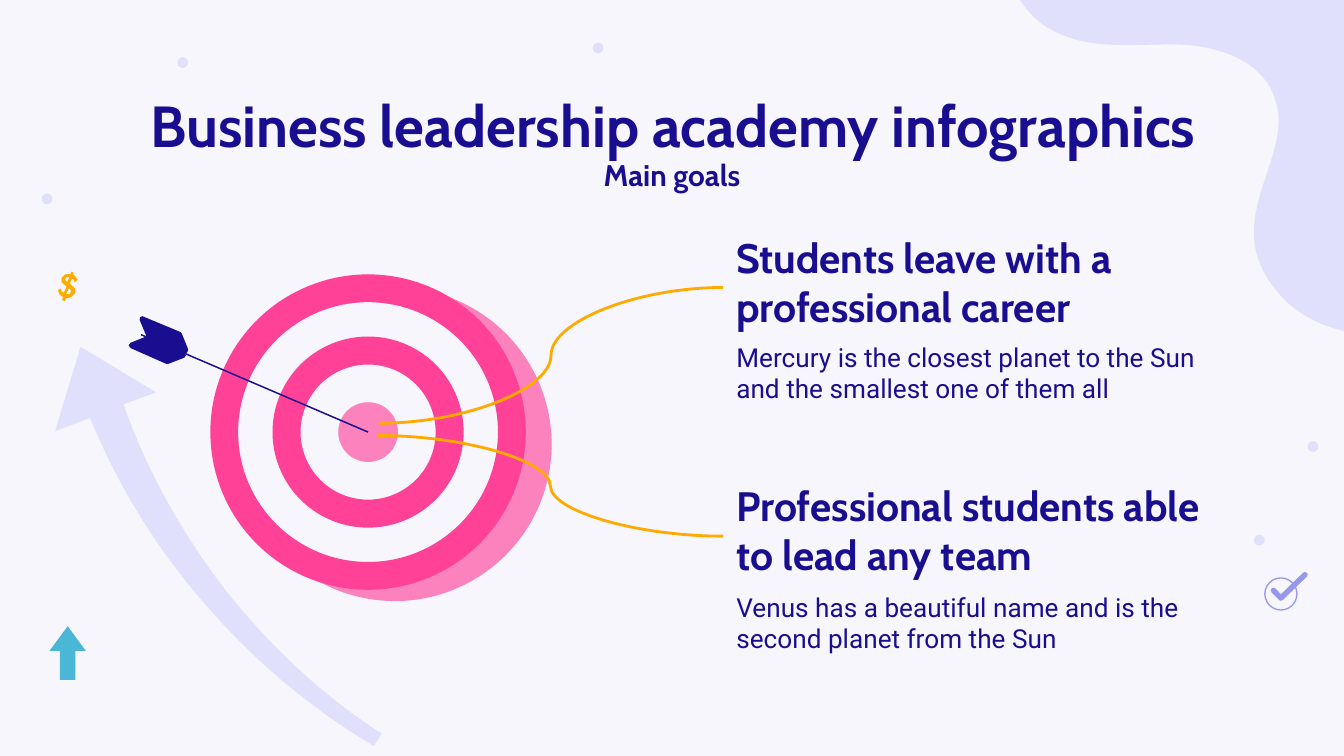
"""Build the leadership academy goals slide with its target illustration."""
from lxml.etree import SubElement
from pptx import Presentation
from pptx.dml.color import RGBColor
from pptx.enum.shapes import MSO_CONNECTOR, MSO_SHAPE
from pptx.enum.text import MSO_ANCHOR, PP_ALIGN
from pptx.oxml.ns import qn
from pptx.util import Pt

PAPER = RGBColor(0xF6, 0xF6, 0xFC)
LAVENDER = RGBColor(0xE0, 0xE0, 0xFD)
VIOLET = RGBColor(0x96, 0x98, 0xED)
NAVY = RGBColor(0x1A, 0x0E, 0x90)
PINK = RGBColor(0xFF, 0x42, 0x98)
AMBER = RGBColor(0xFF, 0xAA, 0x00)
TEAL = RGBColor(0x4A, 0xB7, 0xD6)

TITLE = "Business leadership academy infographics"
SUBTITLE = "Main goals"
GOALS = [
    ("Students leave with a professional career",
     "Mercury is the closest planet to the Sun and the smallest one of them all",
     123.8, 175.7, (203, 226.8)),
    ("Professional students able to lead any team",
     "Venus has a beautiful name and is the second planet from the Sun",
     257, 309.6, (202.3, 233.3)),
]
GOAL_LEFT, GOAL_WIDTH = 387.4, 264.2

DOTS = [(25.2, 106.6), (320.4, 25.7), (97.9, 33.5), (674.6, 289.4), (703.4, 239.2)]
DOT_RADIUS = 2.9

BULLSEYE = (197.2, 231.5)
TARGET_DISCS = [
    ((211.5, 238), 84, 0, PINK, 64),
    (BULLSEYE, 84, 0, PAPER, 100),
    (BULLSEYE, 84.5, 14.9, PINK, 100),
    (BULLSEYE, 51.2, 15, PINK, 100),
    (BULLSEYE, 16, 0, PINK, 64),
]

CORNER_BLOB = [
    (720, 0), (720, 177.3),
    (709.5, 175, 700, 170.5, 691.9, 164),
    (680.4, 154, 671.8, 140.4, 671.8, 125.3),
    (671, 100.1, 691.9, 74.9, 682.6, 51.8),
    (680.4, 45.4, 676.8, 41, 671.8, 36.7),
    (660.2, 27.4, 643.7, 23.8, 627.8, 23.8),
    (606.2, 23.8, 583.2, 26.6, 564.5, 16.6),
    (557, 13, 551, 7, 546.5, 0),
]
SWEEPING_ARROW = [
    (43.2, 185.8), (29.5, 231.1), (48.2, 223.9),
    (63.4, 260.6, 84.2, 294.5, 110.2, 324),
    (135.4, 353.5, 166.3, 379.4, 200.2, 399.6),
    (204.5, 393.1),
    (172.1, 372.2, 144, 345.6, 120.2, 315.4),
    (97.2, 285.1, 78.5, 252, 66.2, 216.7),
    (83.5, 210.2),
]
DOLLAR = [
    [(38.3, 145.6), (37.8, 147), (36.6, 146.8), (34.6, 147.2), (33, 149), (33, 151.2),
     (35.7, 153.5), (34.2, 157), (33, 156.2), (32.6, 154.7), (31, 155.5), (32, 157.8),
     (33.8, 159.2), (33.3, 160.8), (34.8, 161.3), (35.4, 159.8), (38, 159.3),
     (40.2, 157.2), (40.3, 154.8), (37.4, 151.9), (38.5, 149.3), (39.6, 149.9),
     (40, 151.2), (41.6, 150), (40.3, 148.1), (39.1, 147), (39.6, 146.2)],
    [(37.2, 148.4), (36.1, 151.2), (34.9, 150), (35.3, 148.7)],
    [(37, 154.3), (38.2, 155.9), (37.4, 157.5), (35.4, 157.7)],
]
FEATHERS = [
    [(76.3, 169.4), (96.5, 177.8), (97.4, 178.7), (100.8, 187.2), (100.4, 188.8),
     (98.8, 189.5), (79.2, 180.8), (78.4, 180), (74.8, 171.4), (75, 170)],
    [(78.5, 180.5), (98.6, 189.3), (99.6, 190.6), (98.6, 191.7), (90, 195),
     (89.2, 195), (69.9, 186.5), (68.9, 185), (69.9, 183.7), (77.6, 180.6)],
]
CHECK_MARK = [(682.2, 316.3), (686.2, 320.4), (699.1, 307.9)]


def flatten(outline, steps=16):
    """Turn corners and cubic curves into a list of points."""
    points = []
    for part in outline:
        if len(part) == 2:
            points.append(part)
            continue
        ends = [points[-1], part[:2], part[2:4], part[4:]]
        for step in range(1, steps + 1):
            t = step / steps
            weights = ((1 - t) ** 3, 3 * t * (1 - t) ** 2, 3 * t * t * (1 - t), t ** 3)
            points.append(tuple(sum(w * end[axis] for w, end in zip(weights, ends))
                                for axis in (0, 1)))
    return [(Pt(x), Pt(y)) for x, y in points]


def paint(shape, color, opacity=100):
    """Give a shape a flat fill without line or shadow."""
    shape.shadow.inherit = False
    shape.line.fill.background()
    shape.fill.solid()
    shape.fill.fore_color.rgb = color
    if opacity < 100:
        tint = shape.fill._xPr.find(qn("a:solidFill"))[0]
        SubElement(tint, qn("a:alpha"), val=str(opacity * 1000))


def add_outline(shapes, contours, close=True):
    """Draw one freeform from one or more contours."""
    first, *others = [flatten(contour) for contour in contours]
    builder = shapes.build_freeform(*first[0], scale=1.0)
    builder.add_line_segments(first[1:], close=close)
    for contour in others:
        builder.move_to(*contour[0])
        builder.add_line_segments(contour[1:], close=close)
    return builder.convert_to_shape()


def add_disc(shapes, center, radius, ring=0):
    """Draw a circle, or a ring of the given thickness."""
    kind = MSO_SHAPE.DONUT if ring else MSO_SHAPE.OVAL
    disc = shapes.add_shape(kind, Pt(center[0] - radius), Pt(center[1] - radius),
                            Pt(2 * radius), Pt(2 * radius))
    if ring:
        disc.adjustments[0] = ring / (2 * radius)
    return disc


def add_text(shapes, text, box, size, font="Cabin", align=PP_ALIGN.LEFT,
             anchor=MSO_ANCHOR.TOP, spacing=None):
    """Add a wrapped text box; Cabin text is bold."""
    label = shapes.add_textbox(*map(Pt, box))
    frame = label.text_frame
    frame.word_wrap = True
    frame.vertical_anchor = anchor
    frame.margin_left = frame.margin_right = Pt(7.2)
    frame.margin_top = frame.margin_bottom = Pt(7.2)
    paragraph = frame.paragraphs[0]
    paragraph.alignment = align
    paragraph.line_spacing = spacing
    run = paragraph.add_run()
    run.text = text
    run.font.name = font
    run.font.size = Pt(size)
    run.font.bold = font == "Cabin"
    run.font.color.rgb = NAVY
    return label


def add_line(shapes, kind, start, end, color, width):
    """Add a connector without shadow."""
    link = shapes.add_connector(kind, *map(Pt, (*start, *end)))
    link.line.color.rgb = color
    link.line.width = Pt(width)
    SubElement(link._element.spPr, qn("a:effectLst"))
    return link


def main():
    """Lay out the slide and save it."""
    deck = Presentation()
    deck.slide_width, deck.slide_height = Pt(720), Pt(405)
    slide = deck.slides.add_slide(deck.slide_layouts[6])
    slide.background.fill.solid()
    slide.background.fill.fore_color.rgb = PAPER
    shapes = slide.shapes

    paint(add_outline(shapes, DOLLAR), AMBER)
    paint(add_outline(shapes, [CORNER_BLOB]), LAVENDER)
    for center in DOTS:
        paint(add_disc(shapes, center, DOT_RADIUS), LAVENDER)

    badge = add_disc(shapes, (686.2, 318.2), 8.6)
    check = add_outline(shapes, [CHECK_MARK], close=False)
    for stroke, width in ((badge, 0.7), (check, 2.9)):
        stroke.shadow.inherit = False
        stroke.fill.background()
        stroke.line.color.rgb = VIOLET
        stroke.line.width = Pt(width)
    check.line._get_or_add_ln().set("cap", "rnd")

    up_arrow = shapes.add_shape(MSO_SHAPE.UP_ARROW, Pt(26.6), Pt(335.5), Pt(19.4), Pt(28.8))
    up_arrow.adjustments[0], up_arrow.adjustments[1] = 0.43, 0.68
    paint(up_arrow, TEAL)

    add_text(shapes, TITLE, (56.9, 35.3, 607, 45.4), 31, align=PP_ALIGN.CENTER, spacing=1.15)
    paint(add_outline(shapes, [SWEEPING_ARROW]), LAVENDER)

    for center, radius, ring, color, opacity in TARGET_DISCS:
        paint(add_disc(shapes, center, radius, ring), color, opacity)
    add_line(shapes, MSO_CONNECTOR.STRAIGHT, BULLSEYE, (75.6, 179.3), NAVY, 0.78)
    for feather in FEATHERS:
        paint(add_outline(shapes, [feather]), NAVY)

    for heading, detail, heading_top, detail_top, start in GOALS:
        goal = add_text(shapes, heading, (GOAL_LEFT, heading_top, GOAL_WIDTH, 60.5), 22,
                        anchor=MSO_ANCHOR.BOTTOM)
        add_text(shapes, detail, (GOAL_LEFT, detail_top, GOAL_WIDTH, 46.1), 14, "Roboto")
        link = add_line(shapes, MSO_CONNECTOR.CURVE, start,
                        (GOAL_LEFT, heading_top + 30.25), AMBER, 1.5)
        link.end_connect(goal, 1)
    add_text(shapes, SUBTITLE, (187.9, 77, 344.2, 31.7), 16, align=PP_ALIGN.CENTER)

    deck.save("out.pptx")


if __name__ == "__main__":
    main()
